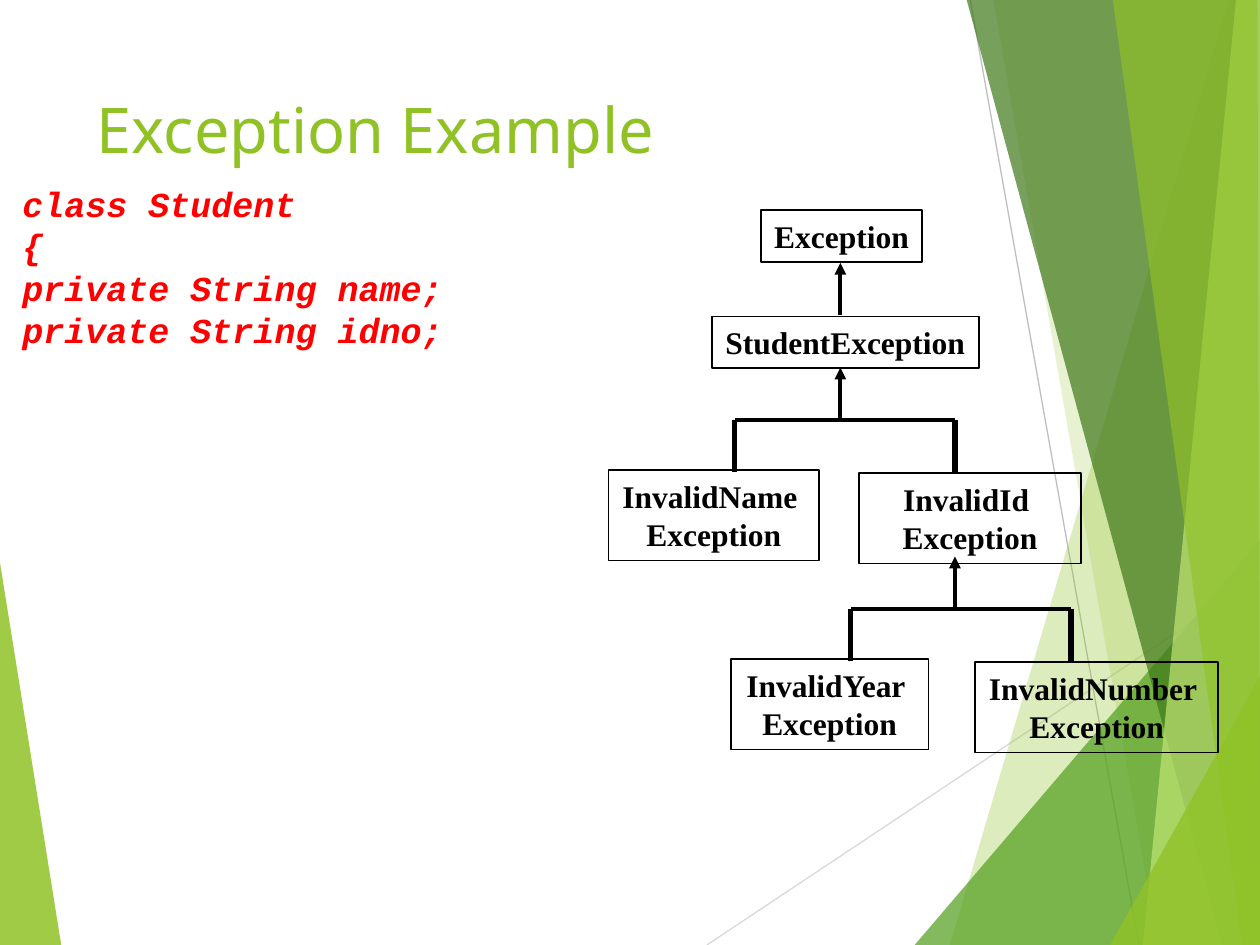
from dataclasses import dataclass
from typing import Any

from lxml.etree import SubElement
from pptx import Presentation
from pptx.dml.color import RGBColor
from pptx.enum.shapes import MSO_CONNECTOR as Connector, MSO_SHAPE as Preset
from pptx.enum.text import MSO_ANCHOR as Anchor, MSO_AUTO_SIZE as AutoSize, PP_ALIGN as Align
from pptx.oxml.ns import qn
from pptx.util import Cm, Pt

Point = tuple[float, float]


@dataclass(frozen=True)
class Theme:
    lime: str = "90C226"
    green: str = "54A021"
    forest: str = "3F7819"
    pale: str = "C0E474"
    light_grey: str = "D9D9D9"
    grey: str = "BFBFBF"
    black: str = "000000"
    red: str = "FF0000"
    title_size: float = 36
    code_size: float = 20
    box_size: float = 18
    hairline: float = 0.75
    outline: float = 1
    branch: float = 2.25
    drop: float = 3


@dataclass(frozen=True)
class Facet:
    points: tuple[Point, ...]
    color: str
    opacity: int


@dataclass(frozen=True)
class Line:
    start: Point
    end: Point
    color: str
    width: float
    arrow: bool = False


@dataclass(frozen=True)
class ClassBox:
    lines: tuple[str, ...]
    left: float
    top: float
    width: float
    wrap: bool = False


@dataclass(frozen=True)
class Fork:
    center: float
    bar: float
    left: float
    right: float


THEME = Theme()
WIDTH, HEIGHT = 25.4, 19.05
EDGE, ABOVE = 25.43, -0.03
STEM = 1.05

LEFT_FACET = Facet(((-0.03, 11.15), (1.24, 19.08), (-0.03, HEIGHT)), THEME.lime, 85)
GUIDES = (
    Line((14.25, HEIGHT), (EDGE, 11.61), THEME.light_grey, THEME.hairline),
    Line((19.56, 0), (22.96, HEIGHT), THEME.grey, THEME.hairline),
)
RIGHT_FACETS = (
    Facet(((24.77, 0), (19.15, HEIGHT), (EDGE, HEIGHT), (EDGE, 0)), THEME.lime, 30),
    Facet(((20.02, ABOVE), (23.34, HEIGHT), (EDGE, HEIGHT), (EDGE, ABOVE)), THEME.lime, 20),
    Facet(((18.44, HEIGHT), (WIDTH, 10.9), (EDGE, HEIGHT)), THEME.green, 72),
    Facet(((19.48, ABOVE), (24.64, HEIGHT), (EDGE, HEIGHT), (EDGE, ABOVE)), THEME.forest, 70),
    Facet(((24.92, ABOVE), (23.04, HEIGHT), (EDGE, HEIGHT), (WIDTH, ABOVE)), THEME.pale, 70),
    Facet(((22.43, ABOVE), (25.04, HEIGHT), (WIDTH, HEIGHT), (25.35, ABOVE)), THEME.lime, 65),
    Facet(((22.38, HEIGHT), (EDGE, 13.59), (EDGE, HEIGHT)), THEME.lime, 80),
)
CODE = ("class Student", "{", "private String name;", "private String idno;")
BOXES = (
    ClassBox(("StudentException",), 14.35, 6.38, 5.38),
    ClassBox(("Exception",), 15.34, 4.24, 3.25),
    ClassBox(("InvalidName ", "Exception"), 12.27, 9.47, 4.24),
    ClassBox(("InvalidId ", "Exception"), 17.32, 9.53, 4.47, True),
    ClassBox(("InvalidYear ", "Exception"), 14.73, 13.28, 3.99),
    ClassBox(("InvalidNumber ", "Exception"), 19.66, 13.34, 4.9, True),
)
FORKS = (Fork(16.94, 8.46, 14.81, 19.25), Fork(19.25, 12.27, 17.15, 21.59))
BOX_FORMAT = {"name": "Times New Roman", "size": Pt(THEME.box_size), "bold": True}
CODE_FORMAT = {"name": "Courier New", "size": Pt(THEME.code_size), "bold": True, "italic": True}
TITLE_FORMAT = {"name": "Noto Sans", "size": Pt(THEME.title_size)}


def assign(target: Any, values: dict[str, Any]) -> None:
    for name, value in values.items():
        setattr(target, name, value)


def write_text(shape: Any, lines: tuple[str, ...], font: dict[str, Any], color: str,
               frame: dict[str, Any], alignment: Any = Align.LEFT) -> None:
    text_frame = shape.text_frame
    assign(text_frame, frame)
    for index, text in enumerate(lines):
        paragraph = text_frame.add_paragraph() if index else text_frame.paragraphs[0]
        paragraph.alignment = alignment
        run = paragraph.add_run()
        run.text = text
        assign(run.font, font)
        run.font.color.rgb = RGBColor.from_string(color)


def draw_facet(slide: Any, facet: Facet) -> None:
    points = [(Cm(x), Cm(y)) for x, y in facet.points]
    builder = slide.shapes.build_freeform(*points[0], scale=1.0)
    builder.add_line_segments(points[1:], close=True)
    shape = builder.convert_to_shape()
    shape.shadow.inherit = False
    shape.line.fill.background()
    shape.fill.solid()
    shape.fill.fore_color.rgb = RGBColor.from_string(facet.color)
    color = shape.fill._xPr.find(qn("a:solidFill"))[0]
    SubElement(color, qn("a:alpha")).set("val", str(facet.opacity * 1000))


def draw_line(slide: Any, line: Line) -> None:
    ends = [Cm(value) for value in (*line.start, *line.end)]
    connector = slide.shapes.add_connector(Connector.STRAIGHT, *ends)
    connector.line.color.rgb = RGBColor.from_string(line.color)
    connector.line.width = Pt(line.width)
    if line.arrow:
        SubElement(connector.line._get_or_add_ln(), qn("a:tailEnd")).set("type", "triangle")
    SubElement(connector._element.spPr, qn("a:effectLst"))


def draw_box(slide: Any, box: ClassBox) -> None:
    height = 1.04 if len(box.lines) == 1 else 1.83
    shape = slide.shapes.add_shape(
        Preset.RECTANGLE, Cm(box.left), Cm(box.top), Cm(box.width), Cm(height))
    shape.shadow.inherit = False
    shape.fill.background()
    shape.line.color.rgb = RGBColor.from_string(THEME.black)
    shape.line.width = Pt(THEME.outline)
    frame = {"word_wrap": box.wrap, "auto_size": AutoSize.SHAPE_TO_FIT_TEXT,
             "vertical_anchor": Anchor.MIDDLE}
    write_text(shape, box.lines, BOX_FORMAT, THEME.black, frame, Align.CENTER)


def draw_arrow(slide: Any, x: float, bottom: float) -> None:
    draw_line(slide, Line((x, bottom), (x, bottom - STEM), THEME.black, THEME.branch, True))


def draw_fork(slide: Any, fork: Fork) -> None:
    draw_arrow(slide, fork.center, fork.bar)
    draw_line(slide, Line((fork.left, fork.bar), (fork.right, fork.bar),
                          THEME.black, THEME.branch))
    for x in (fork.left, fork.right):
        draw_line(slide, Line((x, fork.bar), (x, fork.bar + STEM), THEME.black, THEME.drop))


def main() -> None:
    presentation = Presentation()
    assign(presentation, {"slide_width": Cm(WIDTH), "slide_height": Cm(HEIGHT)})
    slide = presentation.slides.add_slide(presentation.slide_layouts[6])
    draw_facet(slide, LEFT_FACET)
    for guide in GUIDES:
        draw_line(slide, guide)
    for facet in RIGHT_FACETS:
        draw_facet(slide, facet)
    title = slide.shapes.add_textbox(Cm(1.7), Cm(1.7), Cm(17.63), Cm(3.66))
    write_text(title, ("Exception Example",), TITLE_FORMAT, THEME.lime,
               {"word_wrap": True, "vertical_anchor": Anchor.TOP})
    code = slide.shapes.add_textbox(Cm(0.2), Cm(3.56), Cm(9.32), Cm(4.5))
    write_text(code, CODE, CODE_FORMAT, THEME.red, {"word_wrap": True})
    for box in BOXES:
        draw_box(slide, box)
    draw_arrow(slide, 16.94, 6.35)
    for fork in FORKS:
        draw_fork(slide, fork)
    presentation.save("out.pptx")


main()
